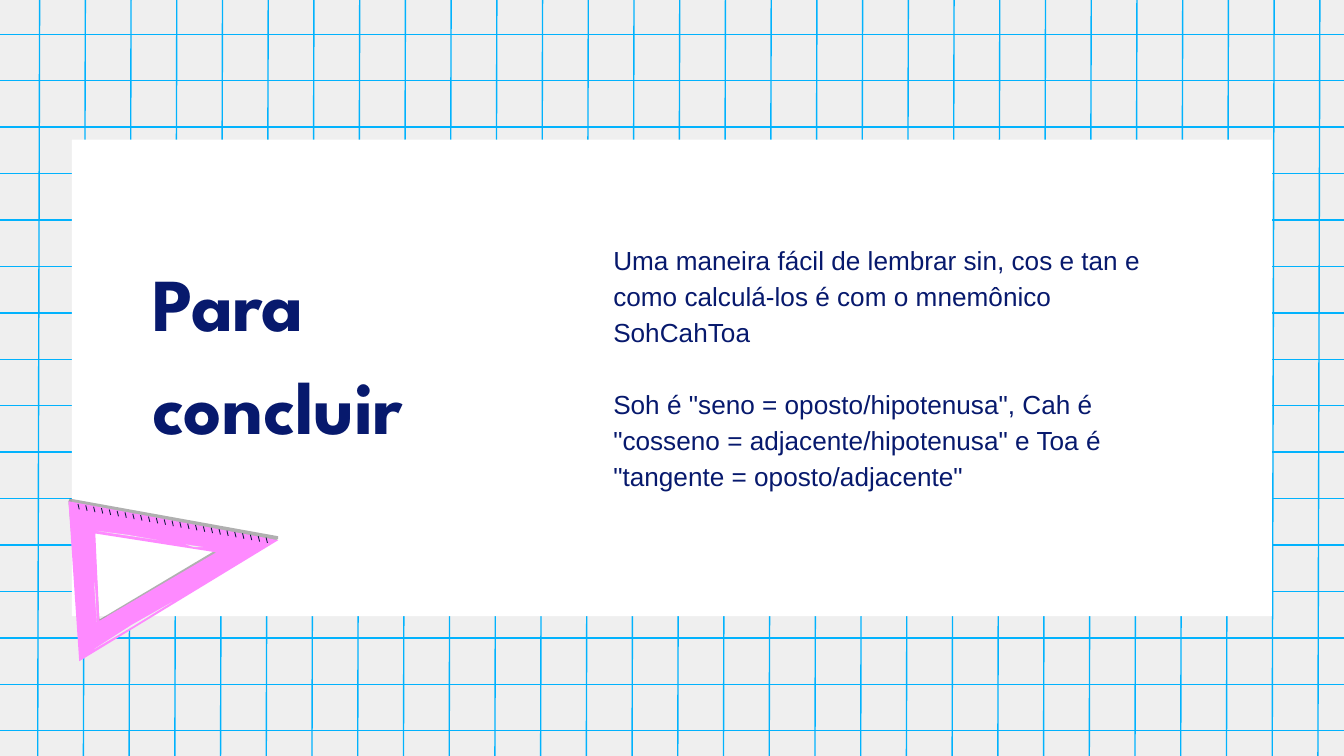
from lxml import etree
from pptx import Presentation
from pptx.dml.color import RGBColor
from pptx.enum.shapes import MSO_CONNECTOR, MSO_SHAPE
from pptx.enum.text import MSO_ANCHOR, PP_ALIGN
from pptx.oxml.ns import qn
from pptx.util import Pt

PX = 4572
STRAIGHT = MSO_CONNECTOR.STRAIGHT
RECTANGLE = MSO_SHAPE.RECTANGLE
BOTTOM, MIDDLE = MSO_ANCHOR.BOTTOM, MSO_ANCHOR.MIDDLE
LEFT = PP_ALIGN.LEFT

PAPER = RGBColor(0xEF, 0xEF, 0xEF)
GRID_BLUE = RGBColor(0x01, 0xB2, 0xFD)
WHITE = RGBColor(0xFF, 0xFF, 0xFF)
NAVY = RGBColor(0x07, 0x19, 0x6D)
PINK = RGBColor(0xFE, 0x8A, 0xFF)
TICK_NAVY = RGBColor(0x06, 0x19, 0x37)
BLACK = RGBColor(0x00, 0x00, 0x00)

HEADING = "Para concluir"
EXPLANATION = (
    "Uma maneira fácil de lembrar sin, cos e tan e como calculá-los é com o mnemônico SohCahToa",
    'Soh é "seno = oposto/hipotenusa", Cah é "cosseno = adjacente/hipotenusa" '
    'e Toa é "tangente = oposto/adjacente"',
)

SHADOW_RINGS = (
    ((314, 58), (4, 2), (2, 6), (22, 240), (314, 62)),
    ((226, 76), (48, 182), (40, 48)),
)
BODY_RINGS = (
    ((314, 64), (2, 6), (18, 244)),
    ((222, 82), (48, 184), (42, 54)),
)
HIGHLIGHTS = (
    ((40, 226), (98, 192), (156, 156), (96, 190)),
    ((44, 50), (90, 56), (136, 64), (68, 54)),
    ((40, 126), (42, 140), (44, 186), (42, 156)),
    ((176, 70), (188, 72), (202, 74), (188, 74)),
)


def emu(*lengths):
    """Turn px lengths into whole EMU."""
    return [round(length * PX) for length in lengths]


def add_rule(slide, start, end, color, width):
    """Draw a plain straight line between two points."""
    rule = slide.shapes.add_connector(STRAIGHT, *emu(*start, *end))
    rule.line.color.rgb = color
    rule.line.width = Pt(width)
    etree.SubElement(rule._element.spPr, qn("a:effectLst"))


def add_outline(slide, left, top, rings, color):
    """Fill one or more closed rings and return the shape."""
    placed = [[(left + x, top + y) for x, y in ring] for ring in rings]
    builder = slide.shapes.build_freeform(*placed[0][0], scale=PX)
    builder.add_line_segments(placed[0][1:], close=True)
    for ring in placed[1:]:
        builder.move_to(*ring[0])
        builder.add_line_segments(ring[1:], close=True)
    outline = builder.convert_to_shape()
    outline.shadow.inherit = False
    outline.fill.solid()
    outline.fill.fore_color.rgb = color
    outline.line.fill.background()
    return outline


def add_copy(slide, box, paragraphs, font, size, bold, anchor, gap):
    """Write wrapped navy paragraphs with a gap between them."""
    frame = slide.shapes.add_textbox(*emu(*box)).text_frame
    frame.word_wrap = True
    frame.vertical_anchor = anchor
    frame.margin_left, frame.margin_top, frame.margin_right, frame.margin_bottom = emu(20, 20, 20, 20)
    for index, wording in enumerate(paragraphs):
        paragraph = frame.add_paragraph() if index else frame.paragraphs[0]
        paragraph.alignment = LEFT
        paragraph.line_spacing = 1.15
        paragraph.space_before = Pt(gap if index else 0)
        run = paragraph.add_run()
        run.text = wording
        run.font.name = font
        run.font.size = Pt(size)
        run.font.bold = bold
        run.font.color.rgb = NAVY


def draw_grid(slide, left, top, width, height):
    """Rule the squared paper with slightly leaning verticals."""
    for row in range(16):
        y = top + 53 + row * 69.1
        add_rule(slide, (left, y), (left + width, y), GRID_BLUE, 0.75)
    for column in range(29):
        x = left + 75 + column * 68.04
        add_rule(slide, (x, top), (x - 3, top + height), GRID_BLUE, 0.75)


def draw_card(slide, left, top, width, height):
    """Place the white card with its heading and explanation."""
    card = slide.shapes.add_shape(RECTANGLE, *emu(left, top, width, height))
    card.shadow.inherit = False
    card.fill.solid()
    card.fill.fore_color.rgb = WHITE
    card.line.fill.background()
    heading_box = (left + 100, top + 143, 602, 338)
    add_copy(slide, heading_box, [HEADING], "League Spartan", 40, True, BOTTOM, 0)
    explanation_box = (left + 786, top + 68, 900, 536)
    add_copy(slide, explanation_box, EXPLANATION, "Arial", 14, False, MIDDLE, 19.3)


def draw_set_square(slide, left, top):
    """Draw the pink set square with shadow, scale and highlights."""
    shade = add_outline(slide, left, top, SHADOW_RINGS, BLACK)
    shade_color = shade._element.spPr.find(qn("a:solidFill"))[0]
    etree.SubElement(shade_color, qn("a:alpha"), val="31000")
    add_outline(slide, left, top, BODY_RINGS, PINK)
    for tick in range(25):
        x = left + 16 + tick * 280 / 24
        y = top + 10 + tick * 50 / 24
        add_rule(slide, (x + 2, y + 8), (x, y), TICK_NAVY, 0.46)
    for highlight in HIGHLIGHTS:
        add_outline(slide, left, top, [highlight], PAPER)


def main():
    """Build and save the closing slide."""
    deck = Presentation()
    deck.slide_width, deck.slide_height = emu(2000, 1125)
    slide = deck.slides.add_slide(deck.slide_layouts[6])
    slide.background.fill.solid()
    slide.background.fill.fore_color.rgb = PAPER
    draw_grid(slide, -16, -2, 2032, 1166)
    draw_card(slide, 107, 208, 1786, 709)
    draw_set_square(slide, 100, 740)
    deck.save("out.pptx")


if __name__ == "__main__":
    main()
